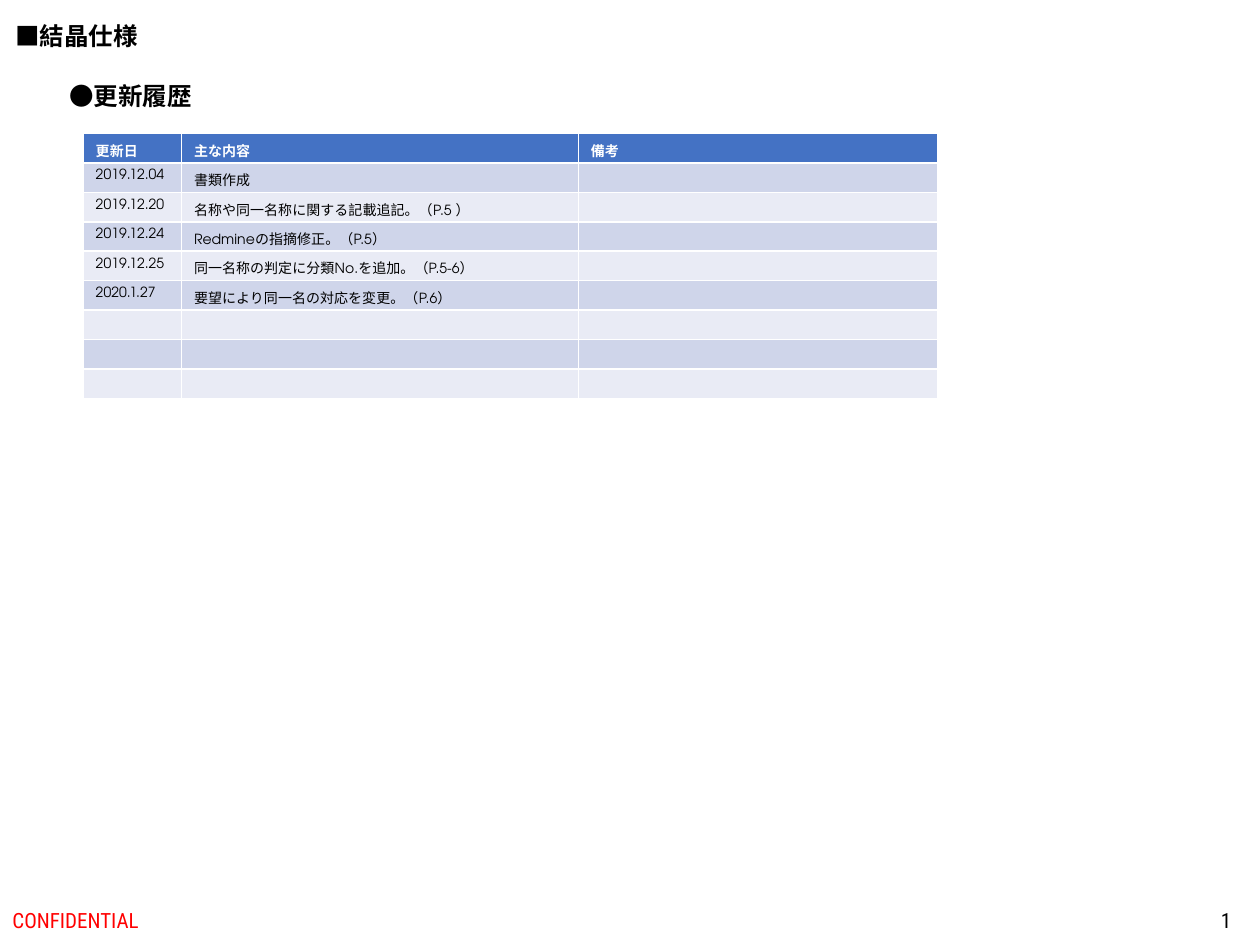
from lxml.etree import SubElement
from pptx import Presentation
from pptx.dml.color import RGBColor
from pptx.enum.text import MSO_ANCHOR, MSO_AUTO_SIZE, PP_ALIGN
from pptx.oxml.ns import qn
from pptx.util import Inches, Pt

BLACK = RGBColor(0x00, 0x00, 0x00)
WHITE = RGBColor(0xFF, 0xFF, 0xFF)
RED = RGBColor(0xFF, 0x00, 0x00)
HEADER_BLUE = RGBColor(0x44, 0x72, 0xC4)
BAND_COLORS = (RGBColor(0xCF, 0xD5, 0xEA), RGBColor(0xE9, 0xEB, 0xF5))

HEADING_FONT = "Arial"
FOOTER_FONT = "Roboto Condensed"
BODY_FONT = "TeX Gyre Adventor"

COLUMN_WIDTHS = (0.78, 3.15, 2.85)
TABLE_HEIGHT = 2.1
CELL_SIZE = 8
HISTORY = (
    ("更新日", "主な内容", "備考"),
    ("2019.12.04", "書類作成", ""),
    ("2019.12.20", "名称や同一名称に関する記載追記。（P.5 ）", ""),
    ("2019.12.24", "Redmineの指摘修正。（P.5）", ""),
    ("2019.12.25", "同一名称の判定に分類No.を追加。（P.5-6）", ""),
    ("2020.1.27", "要望により同一名の対応を変更。（P.6）", ""),
    ("", "", ""),
    ("", "", ""),
    ("", "", ""),
)


def format_paragraph(paragraph, font_name, size, color, bold=False, align=PP_ALIGN.LEFT):
    paragraph.alignment = align
    font = paragraph.font
    font.name = font_name
    font.size = Pt(size)
    font.bold = bold
    font.color.rgb = color


def format_heading(shape, text, left, top, font_name):
    shape.left, shape.top = Inches(left), Inches(top)
    shape.width, shape.height = Inches(1.18), Inches(0.34)
    frame = shape.text_frame
    frame.text = text
    frame.word_wrap = False
    frame.auto_size = MSO_AUTO_SIZE.SHAPE_TO_FIT_TEXT
    frame.vertical_anchor = MSO_ANCHOR.TOP
    format_paragraph(frame.paragraphs[0], font_name, 14, BLACK, bold=True)


def add_footer(slide, text, left, width, color, align):
    shape = slide.shapes.add_textbox(Inches(left), Inches(7.1), Inches(width), Inches(0.4))
    frame = shape.text_frame
    frame.text = text
    frame.word_wrap = True
    frame.vertical_anchor = MSO_ANCHOR.MIDDLE
    format_paragraph(frame.paragraphs[0], FOOTER_FONT, 12, color, align=align)


def fill_cell(cell, text, is_header, fill_color):
    cell.fill.solid()
    cell.fill.fore_color.rgb = fill_color
    cell.text = text
    paragraph = cell.text_frame.paragraphs[0]
    format_paragraph(paragraph, BODY_FONT, CELL_SIZE, WHITE if is_header else BLACK, bold=is_header)
    if not text:
        # An empty cell takes its line height from the end-of-paragraph mark.
        SubElement(paragraph._p, qn("a:endParaRPr"), sz=str(CELL_SIZE * 100))


def add_history_table(slide):
    frame = slide.shapes.add_table(
        len(HISTORY), len(COLUMN_WIDTHS),
        Inches(0.66), Inches(1.06), Inches(sum(COLUMN_WIDTHS)), Inches(TABLE_HEIGHT),
    )
    table = frame.table
    for column, width in zip(table.columns, COLUMN_WIDTHS):
        column.width = Inches(width)
    for row_index, (row, texts) in enumerate(zip(table.rows, HISTORY)):
        is_header = row_index == 0
        fill_color = HEADER_BLUE if is_header else BAND_COLORS[(row_index - 1) % 2]
        for cell, text in zip(row.cells, texts):
            fill_cell(cell, text, is_header, fill_color)


def main():
    presentation = Presentation()
    presentation.slide_width = Inches(10)
    presentation.slide_height = Inches(7.5)
    slide = presentation.slides.add_slide(presentation.slide_layouts[5])

    format_heading(slide.shapes.title, "■結晶仕様", 0.02, 0.12, HEADING_FONT)
    add_footer(slide, "CONFIDENTIAL", 0, 3.38, RED, PP_ALIGN.LEFT)
    add_footer(slide, "1", 7.62, 2.25, BLACK, PP_ALIGN.RIGHT)
    subheading = slide.shapes.add_textbox(0, 0, 0, 0)
    format_heading(subheading, "●更新履歴", 0.45, 0.59, BODY_FONT)
    add_history_table(slide)

    presentation.save("out.pptx")


if __name__ == "__main__":
    main()
